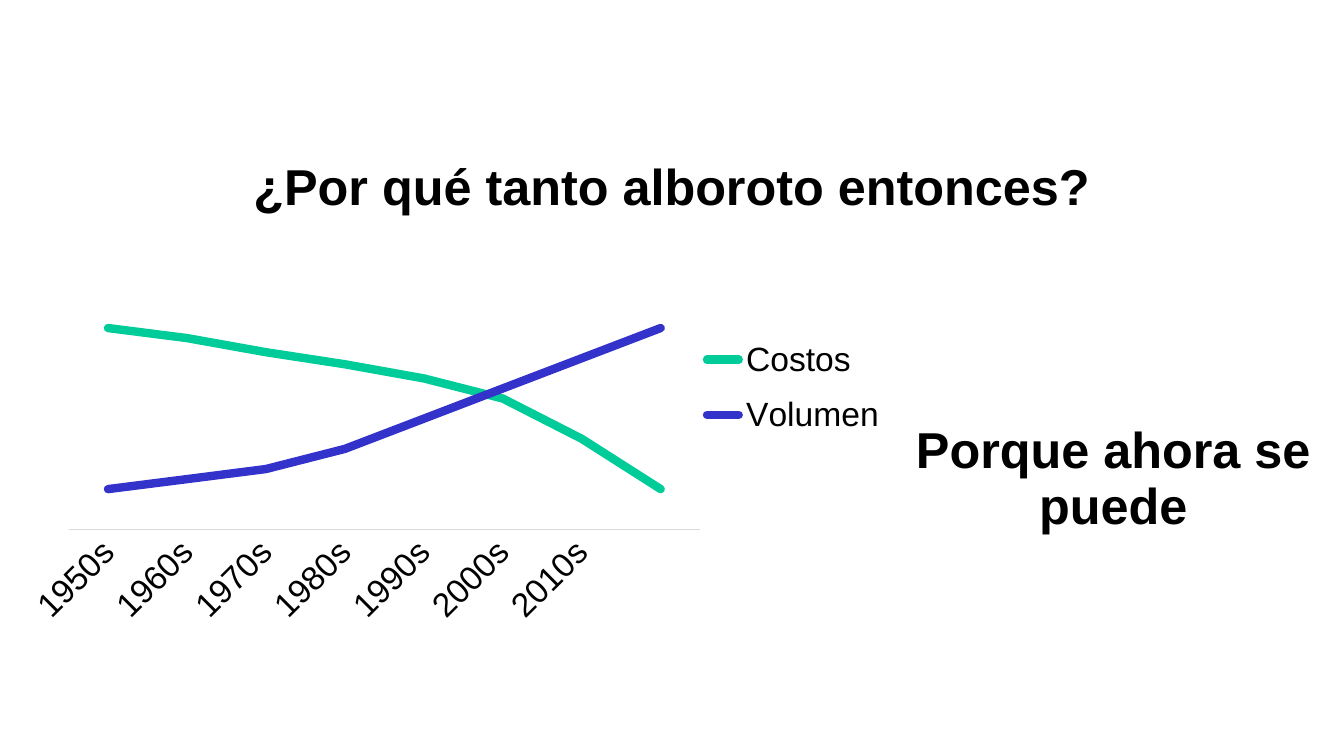
from pptx import Presentation
from pptx import util as u
from pptx.chart.data import CategoryChartData
from pptx.dml.color import RGBColor
from pptx.enum import chart as ch, shapes, text
from pptx.oxml import parse_xml
from pptx.oxml.ns import nsdecls, qn

BLACK = RGBColor(0x00, 0x00, 0x00)
WHITE = RGBColor(0xFF, 0xFF, 0xFF)
GREY = RGBColor(0xD9, 0xD9, 0xD9)
GREEN = RGBColor(0x00, 0xCC, 0x99)
BLUE = RGBColor(0x33, 0x33, 0xCC)
FONT = "Arial"
WIDTH, HEIGHT = 33.87, 19.05

DECADES = ["1950s", "1960s", "1970s", "1980s", "1990s", "2000s", "2010s", " "]
SERIES = [
    ("Costos", GREEN, [100, 95, 88, 82, 75, 65, 45, 20]),
    ("Volumen", BLUE, [20, 25, 30, 40, 55, 70, 85, 100]),
]


def place(sp, box):
    sp.left, sp.top, sp.width, sp.height = (u.Cm(v) for v in box)


def set_font(font, size):
    font.name, font.size = FONT, u.Pt(size)
    font.color.rgb = BLACK


def veil(fill):
    """White fill at 30 % opacity."""
    fill.solid()
    fill.fore_color.rgb = WHITE
    color = fill._xPr.find(".//" + qn("a:srgbClr"))
    color.append(parse_xml(f'<a:alpha {nsdecls("a")} val="30000"/>'))


def write_heading(sp, box, words):
    place(sp, box)
    veil(sp.fill)
    tf = sp.text_frame
    tf.text = words
    tf.word_wrap = True
    tf.auto_size = text.MSO_AUTO_SIZE.NONE
    tf.vertical_anchor = text.MSO_ANCHOR.MIDDLE
    p = tf.paragraphs[0]
    p.alignment = text.PP_ALIGN.CENTER
    p.line_spacing = 0.93
    r = p.runs[0]
    set_font(r.font, 36)
    r.font.bold = True


def set_layout(parent, index, box, target=""):
    """Place a chart part by fractions of the chart area."""
    for old in parent.findall(qn("c:layout")):
        parent.remove(old)
    sizes = "".join(f'<c:{k} val="{v}"/>' for k, v in zip("xywh", box))
    parent.insert(index, parse_xml(
        f'<c:layout {nsdecls("c")}><c:manualLayout>{target}'
        f'<c:xMode val="edge"/><c:yMode val="edge"/>{sizes}'
        '</c:manualLayout></c:layout>'))


def add_trend_chart(s, box):
    data = CategoryChartData()
    data.categories = DECADES
    for name, _, values in SERIES:
        data.add_series(name, values)
    chart = s.shapes.add_chart(ch.XL_CHART_TYPE.LINE,
                               *(u.Cm(v) for v in box), data).chart
    chart.has_title = False
    set_font(chart.font, 10)

    # Axes
    cat = chart.category_axis
    cat.major_tick_mark = cat.minor_tick_mark = ch.XL_TICK_MARK.NONE
    set_font(cat.tick_labels.font, 24)
    cat.format.line.color.rgb = GREY
    cat.format.line.width = u.Pt(0.75)
    cat._element.find(".//" + qn("a:bodyPr")).set("rot", "-2700000")
    val = chart.value_axis
    val.minimum_scale, val.maximum_scale = 0, 120
    val.has_major_gridlines = False
    val.visible = False

    # Lines
    for series, (_, color, _) in zip(chart.plots[0].series, SERIES):
        series.smooth = False
        series.marker.style = ch.XL_MARKER_STYLE.NONE
        line = series.format.line
        line.color.rgb = color
        line.width = u.Pt(6)
        series._element.find(".//" + qn("a:ln")).set("cap", "rnd")
    chart.plots[0].vary_by_categories = False

    # Legend and plot area
    chart.has_legend = True
    chart.legend.position = ch.XL_LEGEND_POSITION.BOTTOM
    chart.legend.include_in_layout = False
    set_font(chart.legend.font, 24)
    root = chart.element
    set_layout(root.find(".//" + qn("c:legend")), 1, (0.52, 0.12, 0.14, 0.31))
    set_layout(root.find(".//" + qn("c:plotArea")), 0,
               (0.051, 0.033, 0.47, 0.588), '<c:layoutTarget val="inner"/>')

    # Chart background
    root.find(qn("c:chart")).addnext(parse_xml(
        f'<c:spPr {nsdecls("c", "a")}><a:solidFill><a:srgbClr val="{WHITE}">'
        '<a:alpha val="30000"/></a:srgbClr></a:solidFill>'
        '<a:ln><a:noFill/></a:ln></c:spPr>'))


def add_answer(s, box):
    sp = s.shapes.add_shape(shapes.MSO_SHAPE.RECTANGLE,
                            *(u.Cm(v) for v in box))
    sp.shadow.inherit = False
    sp.line.fill.background()
    write_heading(sp, box, "Porque ahora se puede")


def main():
    prs = Presentation()
    prs.slide_width, prs.slide_height = u.Cm(WIDTH), u.Cm(HEIGHT)
    s = prs.slides.add_slide(prs.slide_layouts[5])
    s.background.fill.solid()
    s.background.fill.fore_color.rgb = WHITE

    top, height, answer_left = 6.91, 10.36, 22.25
    write_heading(s.shapes.title, (0, 3.07, WIDTH, 3.38),
                  "¿Por qué tanto alboroto entonces?")
    add_trend_chart(s, (0, top, WIDTH, height))
    add_answer(s, (answer_left, top, WIDTH - answer_left, height))
    prs.save("out.pptx")


if __name__ == "__main__":
    main()
